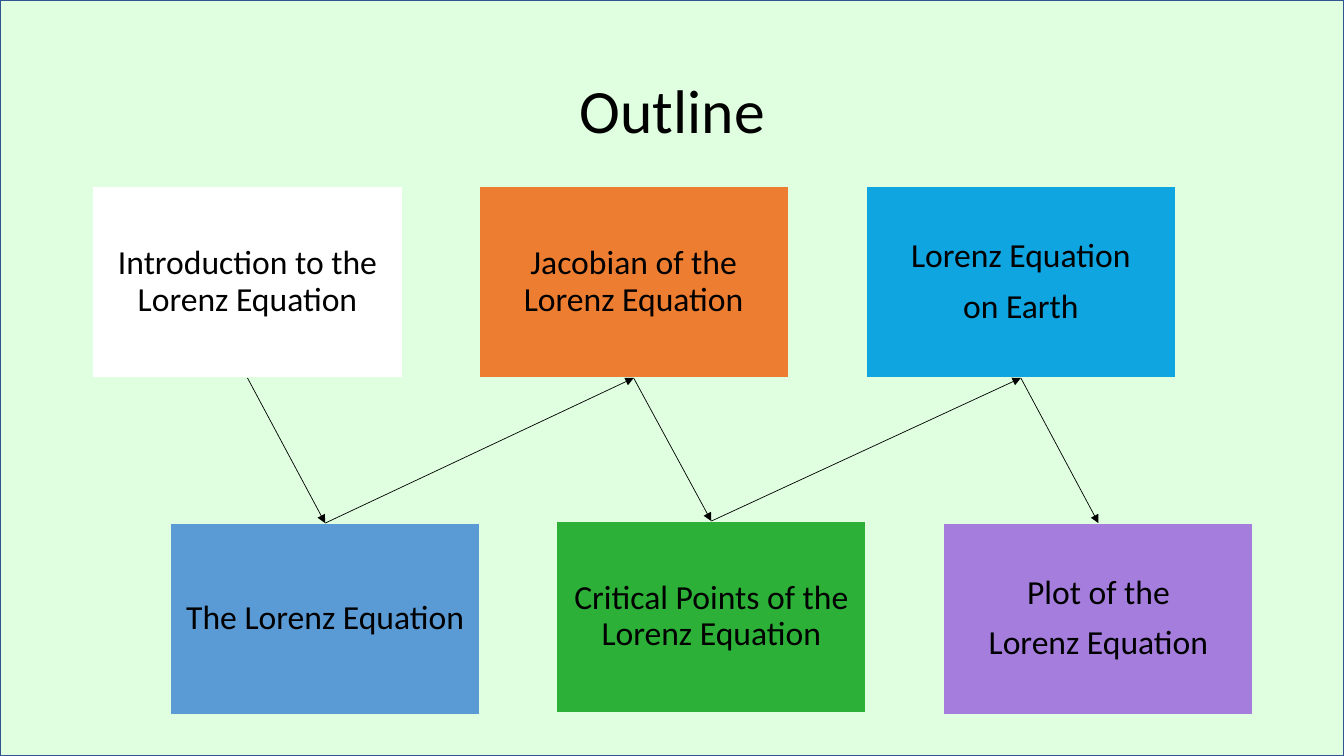
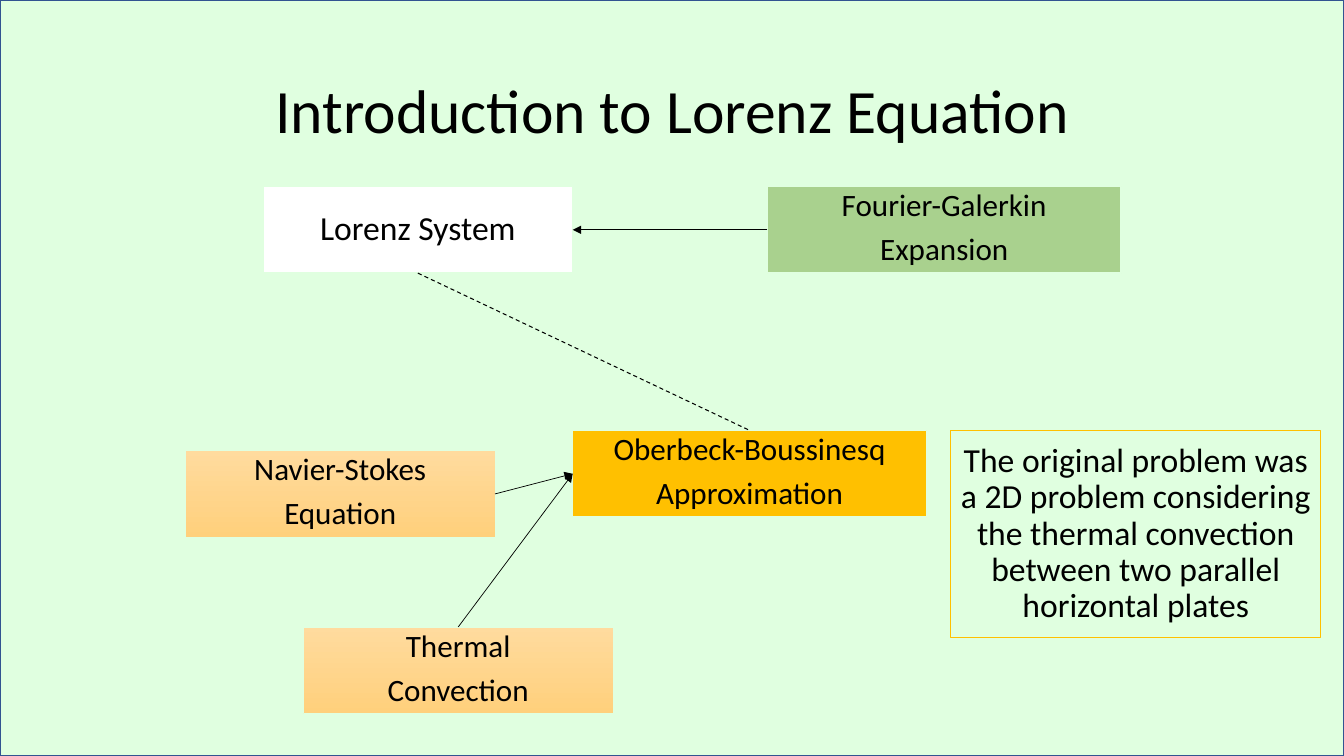
"""Build two slides: an outline of the Lorenz talk and its introduction."""
from dataclasses import dataclass

from lxml.etree import SubElement
from pptx import Presentation
from pptx.dml.color import RGBColor
from pptx.enum.dml import MSO_LINE as Dash
from pptx.enum.shapes import MSO_CONNECTOR as Wire, MSO_SHAPE as Form
from pptx.enum.text import MSO_ANCHOR as Anchor, MSO_AUTO_SIZE as Fit, PP_ALIGN as Align
from pptx.oxml.ns import qn
from pptx.util import Pt

PX = 9144
WIDE, HIGH = 1333, 750
TOP, BOTTOM, LEFT, RIGHT = 0, 2, 1, 3


@dataclass(frozen=True)
class Theme:
    font: str = "Calibri"
    head: int = 44
    body: int = 24
    small: float = 22.2
    ink: str = "000000"
    page: str = "E0FFE0"
    edge: str = "325491"
    white: str = "FFFFFF"
    blue: str = "5B9BD5"
    orange: str = "ED7D31"
    green: str = "2CB037"
    sky: str = "0FA5E1"
    violet: str = "A57DDC"
    gold: str = "FFC000"
    sage: str = "A9D18E"
    sand: tuple = ("FFDB9E", "FFD07C")


theme = Theme()
rgb = RGBColor.from_string


def add_card(slide, box, text, fill, edge=theme.page, width=1, size=theme.body, space=0.9):
    card = slide.shapes.add_shape(Form.RECTANGLE, *(n * PX for n in box))
    card.shadow.inherit = False
    if fill is None:
        card.fill.background()
    elif isinstance(fill, tuple):
        card.fill.gradient()
        card.fill.gradient_angle = 270
        for stop, tone in zip(card.fill.gradient_stops, fill):
            stop.color.rgb = rgb(tone)
    else:
        card.fill.solid()
        card.fill.fore_color.rgb = rgb(fill)
    card.line.color.rgb = rgb(edge)
    card.line.width = Pt(width)
    frame = card.text_frame
    frame.word_wrap = True
    frame.vertical_anchor = Anchor.MIDDLE
    for i, words in enumerate(text.splitlines()):
        para = frame.add_paragraph() if i else frame.paragraphs[0]
        para.alignment = Align.CENTER
        para.line_spacing = space
        para.space_before = Pt(10 if i else 0)
        run = para.add_run()
        run.text = words
        run.font.name = theme.font
        run.font.size = Pt(size)
        run.font.color.rgb = rgb(theme.ink)
    return card


def add_link(slide, start, out, end, into, dashed=False):
    link = slide.shapes.add_connector(Wire.STRAIGHT, 0, 0, 0, 0)
    link.begin_connect(start, out)
    link.end_connect(end, into)
    link.line.color.rgb = rgb(theme.ink)
    link.line.width = Pt(0.75 if dashed else 0.5)
    if dashed:
        link.line.dash_style = Dash.DASH
    else:
        SubElement(link.line._get_or_add_ln(), qn("a:tailEnd"), type="triangle")
    SubElement(link._element.spPr, qn("a:effectLst"))


deck = Presentation()
deck.slide_width, deck.slide_height = WIDE * PX, HIGH * PX

slides = []
for words in ("Outline", "Introduction to Lorenz Equation"):
    slide = deck.slides.add_slide(deck.slide_layouts[5])
    panel = add_card(slide, (0, 0, WIDE, HIGH), "", theme.page, theme.edge)
    slide.shapes._spTree.insert(2, panel._element)
    title = slide.shapes.title
    title.left, title.top, title.width, title.height = (n * PX for n in (92, 40, 1150, 145))
    frame = title.text_frame
    frame.word_wrap = True
    frame.auto_size = Fit.NONE
    frame.vertical_anchor = Anchor.MIDDLE
    para = frame.paragraphs[0]
    para.alignment = Align.CENTER
    para.line_spacing = 0.9
    run = para.add_run()
    run.text = words
    run.font.name = theme.font
    run.font.size = Pt(theme.head)
    run.font.color.rgb = rgb(theme.ink)
    slides.append(slide)
outline, intro = slides

steps = [
    ("Introduction to the Lorenz Equation", theme.white, 185),
    ("The Lorenz Equation", theme.blue, 519),
    ("Jacobian of the Lorenz Equation", theme.orange, 185),
    ("Critical Points of the Lorenz Equation", theme.green, 517),
    ("Lorenz Equation\non Earth", theme.sky, 185),
    ("Plot of the\nLorenz Equation", theme.violet, 519),
]
cards = []
for i, (text, fill, y) in enumerate(steps):
    col, low = divmod(i, 2)
    x = 92 + col * 767 // 2 + low * 77
    cards.append(add_card(outline, (x, y, 307, 190), text, fill))
sides = (BOTTOM, TOP)
for i, (start, end) in enumerate(zip(cards, cards[1:])):
    add_link(outline, start, sides[i % 2], end, sides[1 - i % 2])

tight = {"size": theme.small, "space": 0.8}
system = add_card(intro, (261, 185, 307, 86), "Lorenz System", theme.white)
approx = add_card(intro, (568, 427, 351, 86), "Oberbeck-Boussinesq\nApproximation", theme.gold, **tight)
stokes = add_card(intro, (184, 447, 307, 86), "Navier-Stokes\nEquation", theme.sand, width=0.5, **tight)
heat = add_card(intro, (301, 622, 307, 86), "Thermal\nConvection", theme.sand, width=0.5, **tight)
series = add_card(intro, (761, 185, 351, 86), "Fourier-Galerkin\nExpansion", theme.sage, **tight)
note = (
    "The original problem was a 2D problem considering the thermal "
    "convection between two parallel horizontal plates"
)
add_card(intro, (943, 427, 367, 206), note, None, theme.gold, 0.75)
add_link(intro, system, BOTTOM, approx, TOP, dashed=True)
add_link(intro, stokes, RIGHT, approx, LEFT)
add_link(intro, heat, TOP, approx, LEFT)
add_link(intro, series, LEFT, system, RIGHT)

deck.save("out.pptx")
